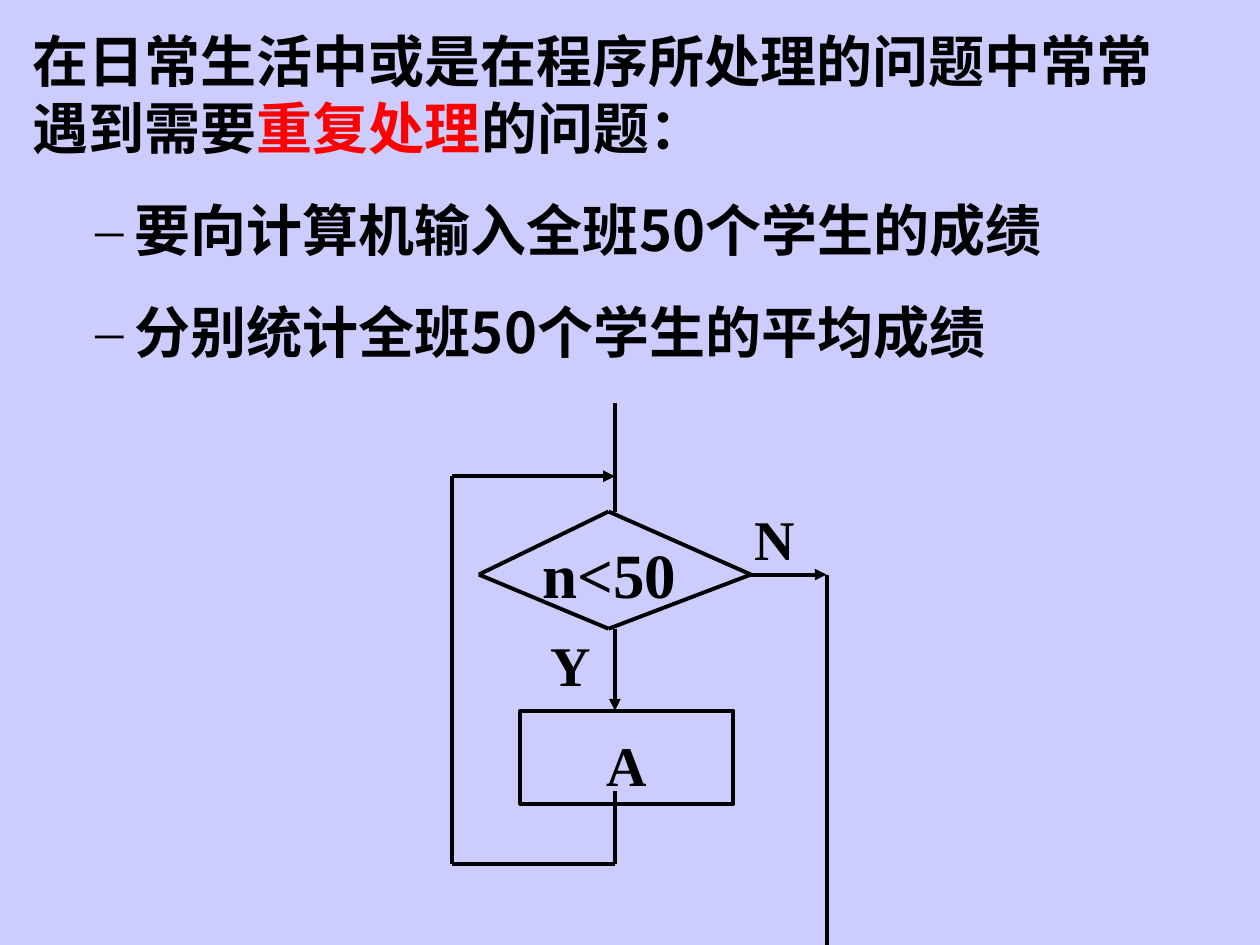
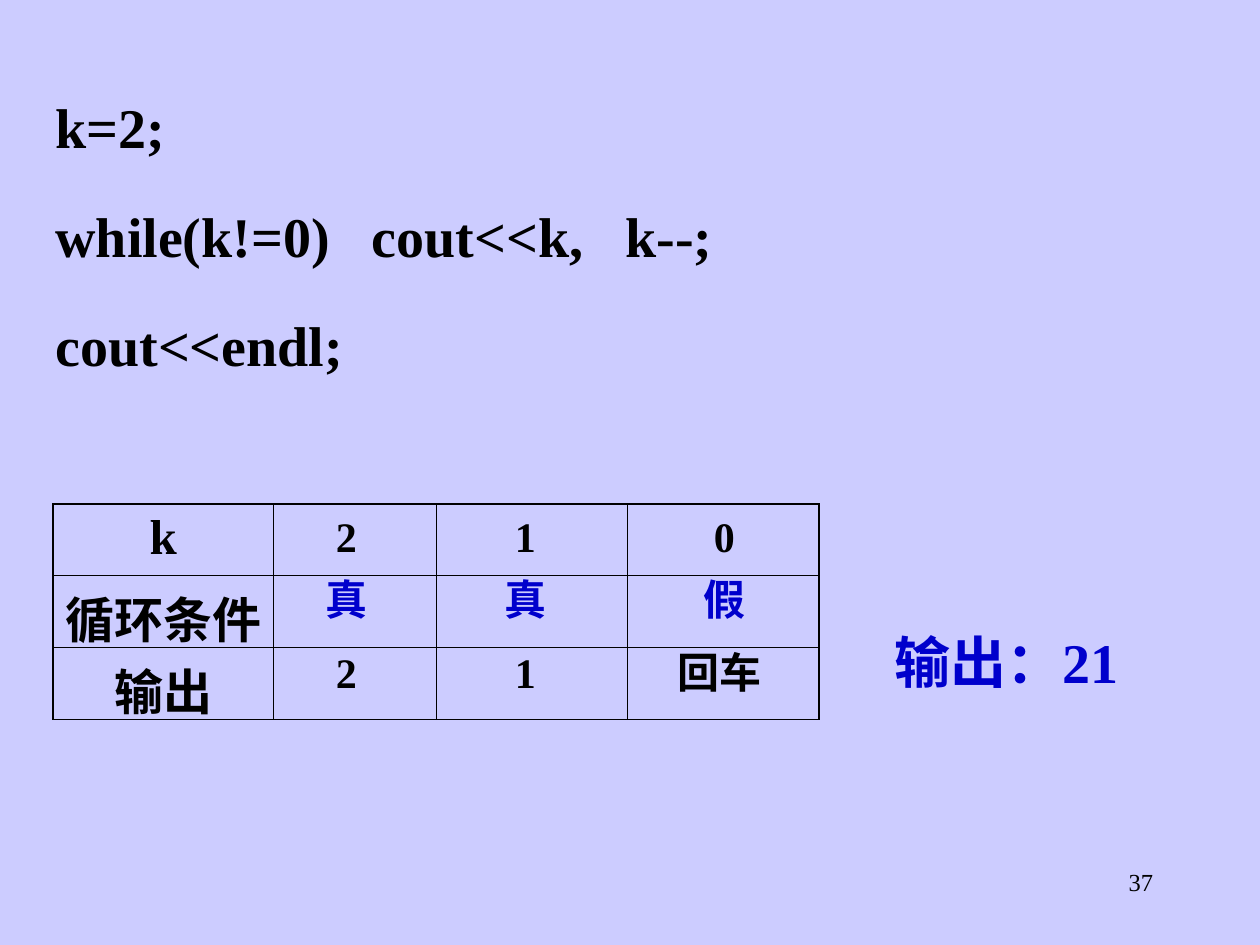
from lxml import etree
from pptx import Presentation
from pptx.dml.color import RGBColor
from pptx.enum.shapes import MSO_CONNECTOR, MSO_SHAPE
from pptx.enum.text import MSO_ANCHOR, PP_ALIGN
from pptx.oxml.ns import qn
from pptx.util import Inches, Pt

LEFT, CENTER, RIGHT = PP_ALIGN.LEFT, PP_ALIGN.CENTER, PP_ALIGN.RIGHT
TOP = MSO_ANCHOR.TOP
STRAIGHT, RECTANGLE = MSO_CONNECTOR.STRAIGHT, MSO_SHAPE.RECTANGLE

LAVENDER = RGBColor(0xCC, 0xCC, 0xFF)
BLACK = RGBColor(0, 0, 0)
RED = RGBColor(0xFF, 0, 0)
BLUE = RGBColor(0, 0, 0xCC)

SERIF = "Times New Roman"
CHINESE = "Noto Sans CJK SC"
WIDE_INSETS = (0.1, 0.05)
THIN_INSETS = (0.02, 0.01)
LINE_WIDTH = 2.25
INNER_BORDER, OUTER_BORDER = 0.45, 1.08

CODE = {"size": 32, "line_spacing": 1.1, "insets": THIN_INSETS}
LABEL = {"size": 32, "line_spacing": 1.2}


def set_attributes(target, values):
    for name, value in values.items():
        setattr(target, name, value)


class Deck:
    """Holds the presentation, its shared style and the current slide."""

    def __init__(self):
        self.presentation = Presentation()
        set_attributes(self.presentation,
                       {"slide_width": Inches(10), "slide_height": Inches(7.5)})
        self.slide = None

    def add_slide(self):
        self.slide = self.presentation.slides.add_slide(
            self.presentation.slide_layouts[6])
        fill = self.slide.background.fill
        fill.solid()
        fill.fore_color.rgb = LAVENDER

    def add_run(self, paragraph, text, size, color=BLACK, font=SERIF, bold=True):
        run = paragraph.add_run()
        run.text = text
        set_attributes(run.font, {"name": font, "size": Pt(size), "bold": bold})
        run.font.color.rgb = color
        east_asian = etree.SubElement(run._r.rPr, qn("a:ea"))
        east_asian.set("typeface", CHINESE)

    def fill_frame(self, frame, paragraphs, size, color=BLACK, align=LEFT,
                   line_spacing=1.0, space_before=20, insets=WIDE_INSETS,
                   **run_format):
        """Fill a frame; each paragraph is a string or a list of (text, colour)."""
        side, edge = (Inches(inset) for inset in insets)
        set_attributes(frame, {
            "word_wrap": True, "vertical_anchor": TOP,
            "margin_left": side, "margin_right": side,
            "margin_top": edge, "margin_bottom": edge})
        for index, content in enumerate(paragraphs):
            paragraph = frame.add_paragraph() if index else frame.paragraphs[0]
            set_attributes(paragraph, {
                "alignment": align, "line_spacing": line_spacing,
                "space_before": Pt(space_before if index else 0)})
            runs = [(content, color)] if isinstance(content, str) else content
            for text, run_color in runs:
                self.add_run(paragraph, text, size, run_color, **run_format)

    def add_text(self, left, top, width, height, paragraphs, **text_format):
        box = self.slide.shapes.add_textbox(
            Inches(left), Inches(top), Inches(width), Inches(height))
        self.fill_frame(box.text_frame, paragraphs, **text_format)
        return box.text_frame

    def add_dash(self, paragraph):
        properties = paragraph._p.get_or_add_pPr()
        properties.set("marL", str(Inches(0.81)))
        properties.set("indent", str(Inches(-0.31)))
        color = etree.SubElement(properties, qn("a:buClr"))
        etree.SubElement(color, qn("a:srgbClr")).set("val", str(BLACK))
        etree.SubElement(properties, qn("a:buFont")).set("typeface", SERIF)
        etree.SubElement(properties, qn("a:buChar")).set("char", "–")

    def add_line(self, start, end, arrow=False):
        connector = self.slide.shapes.add_connector(
            STRAIGHT, *(Inches(value) for value in (*start, *end)))
        connector.line.color.rgb = BLACK
        connector.line.width = Pt(LINE_WIDTH)
        properties = connector._element.spPr
        if arrow:
            tail = etree.SubElement(properties.find(qn("a:ln")), qn("a:tailEnd"))
            tail.set("type", "triangle")
        etree.SubElement(properties, qn("a:effectLst"))

    def add_route(self, points, arrow=False):
        """Join the points with lines; only the last line gets the arrowhead."""
        last = len(points) - 2
        for index, (start, end) in enumerate(zip(points, points[1:])):
            self.add_line(start, end, arrow and index == last)

    def add_process(self, left, top, width, height, text):
        shape = self.slide.shapes.add_shape(
            RECTANGLE, Inches(left), Inches(top), Inches(width), Inches(height))
        shape.shadow.inherit = False
        shape.fill.background()
        shape.line.color.rgb = BLACK
        shape.line.width = Pt(LINE_WIDTH)
        self.fill_frame(shape.text_frame, [text], align=CENTER, **LABEL)

    def set_border(self, cell, side, width):
        properties = cell._tc.get_or_add_tcPr()
        border = etree.SubElement(properties, qn(f"a:{side}"))
        border.set("w", str(Pt(width)))
        fill = etree.SubElement(border, qn("a:solidFill"))
        etree.SubElement(fill, qn("a:srgbClr")).set("val", str(BLACK))

    def add_table(self, left, top, column_widths, row_height, headings):
        """Add a ruled grid with the headings in its first column."""
        row_count, column_count = len(headings), len(column_widths)
        table = self.slide.shapes.add_table(
            row_count, column_count, Inches(left), Inches(top),
            Inches(sum(column_widths)), Inches(row_height * row_count)).table
        set_attributes(table, {"first_row": False, "horz_banding": False})
        for column, width in zip(table.columns, column_widths):
            column.width = Inches(width)
        for row_index, row in enumerate(table.rows):
            row.height = Inches(row_height)
            for column_index, cell in enumerate(row.cells):
                outer_sides = {
                    "lnL": column_index == 0,
                    "lnR": column_index == column_count - 1,
                    "lnT": row_index == 0,
                    "lnB": row_index == row_count - 1}
                for side, is_outer in outer_sides.items():
                    self.set_border(cell, side,
                                    OUTER_BORDER if is_outer else INNER_BORDER)
                cell.fill.background()
            heading = table.cell(row_index, 0)
            set_attributes(heading, {"margin_left": Inches(0.02),
                                     "margin_right": Inches(0.02)})
            paragraph = heading.text_frame.paragraphs[0]
            paragraph.alignment = CENTER
            self.add_run(paragraph, headings[row_index], size=28)


def build_loop_slide(deck):
    deck.add_slide()
    frame = deck.add_text(0.16, 0.16, 9.14, 2.9, [
        [("在日常生活中或是在程序所处理的问题中常常遇到需要", BLACK),
         ("重复处理", RED), ("的问题：", BLACK)],
        "要向计算机输入全班50个学生的成绩",
        "分别统计全班50个学生的平均成绩"], size=32, font=CHINESE)
    for paragraph in frame.paragraphs[1:]:
        deck.add_dash(paragraph)

    axis, loop_left, exit_right = 4.88, 3.59, 6.56
    loop_top, loop_bottom = 3.78, 6.86
    top, right, bottom, left = (4.83, 4.06), (5.96, 4.56), (4.83, 4.99), (3.8, 4.56)
    deck.add_route([top, right, bottom, left, top])
    deck.add_text(4.27, 4.18, 1.13, 0.68, ["n<50"], size=36, align=CENTER,
                  line_spacing=1.1, insets=THIN_INSETS)
    deck.add_process(4.13, 5.64, 1.69, 0.74, "A")
    deck.add_line((axis, 3.2), (axis, top[1]))
    deck.add_line((axis, bottom[1]), (axis, 5.64), arrow=True)
    deck.add_route([(axis, 6.28), (axis, loop_bottom), (loop_left, loop_bottom),
                    (loop_left, loop_top), (axis, loop_top)], arrow=True)
    deck.add_line(right, (exit_right, right[1]), arrow=True)
    deck.add_line((exit_right, right[1]), (exit_right, 7.5))
    deck.add_text(4.27, 4.85, 0.4, 0.74, ["Y"], **LABEL)
    deck.add_text(5.89, 3.85, 0.4, 0.74, ["N"], **LABEL)


def build_trace_slide(deck):
    deck.add_slide()
    deck.add_text(7.17, 6.83, 2.08, 0.5, ["37"], size=14, align=RIGHT, bold=False)
    deck.add_text(0.42, 0.67, 5.75, 2.34, [
        "k=2;", "while(k!=0)   cout<<k,   k--;", "cout<<endl;"], **CODE)
    deck.add_table(0.42, 4, [1.75, 1.29, 1.52, 1.52], 0.57,
                   ["k", "循环条件", "输出"])
    deck.add_text(7.08, 4.92, 2.08, 0.61, ["输出：21"], color=BLUE, **CODE)

    row_styles = [(4, BLACK), (4.5, BLUE), (5.08, BLACK)]
    steps = [(2.75, ["2", "真", "2"]), (4.17, ["1", "真", "1"]),
             (5.75, ["0", "假", "回车"])]
    for center, values in steps:
        for (top, color), value in zip(row_styles, values):
            width = 1.08 if len(value) > 1 else 0.67
            middle = 5.71 if len(value) > 1 else center
            deck.add_text(middle - width / 2, top, width, 0.5, [value],
                          size=24, color=color, align=CENTER)


def main():
    deck = Deck()
    build_loop_slide(deck)
    build_trace_slide(deck)
    deck.presentation.save("out.pptx")


if __name__ == "__main__":
    main()
